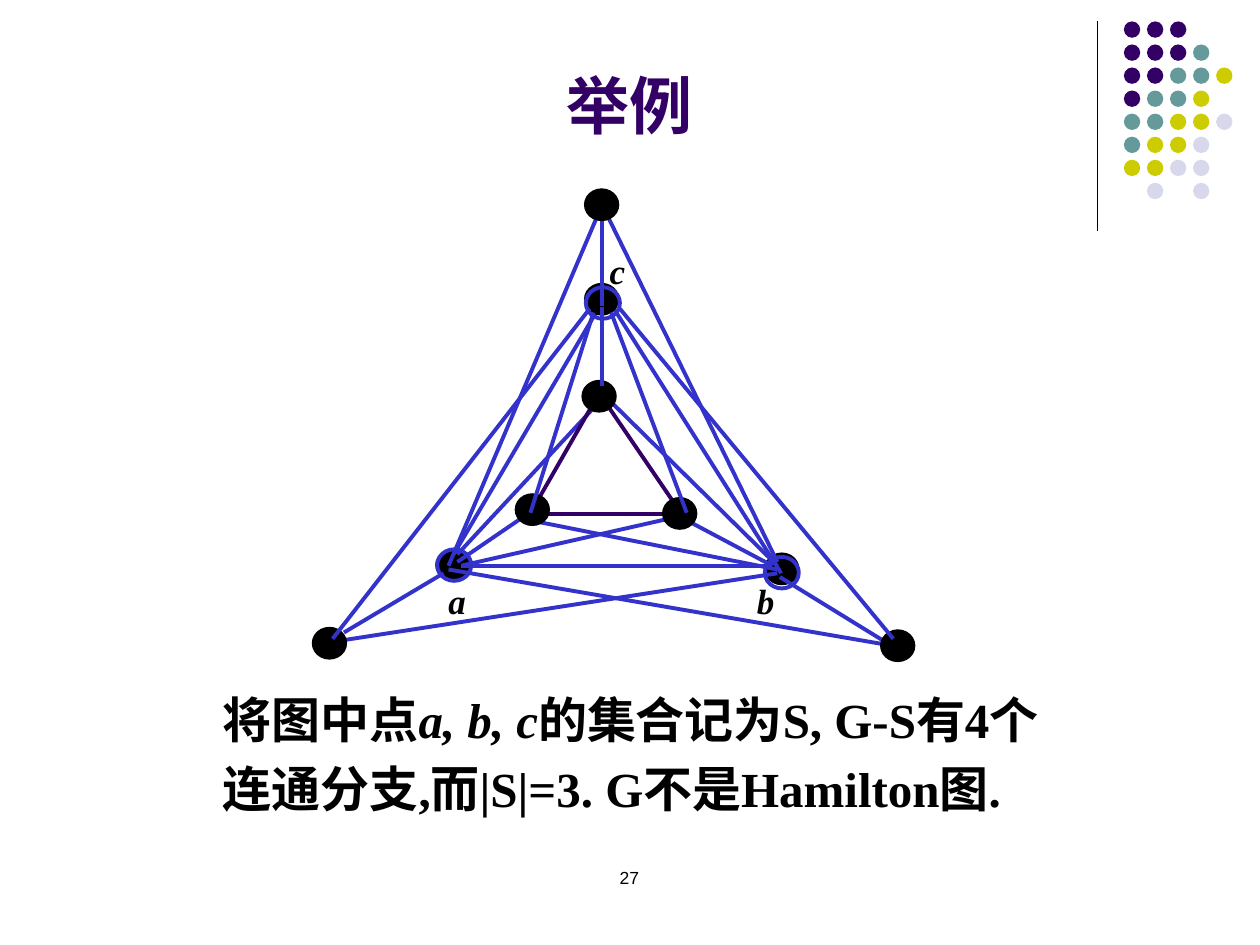
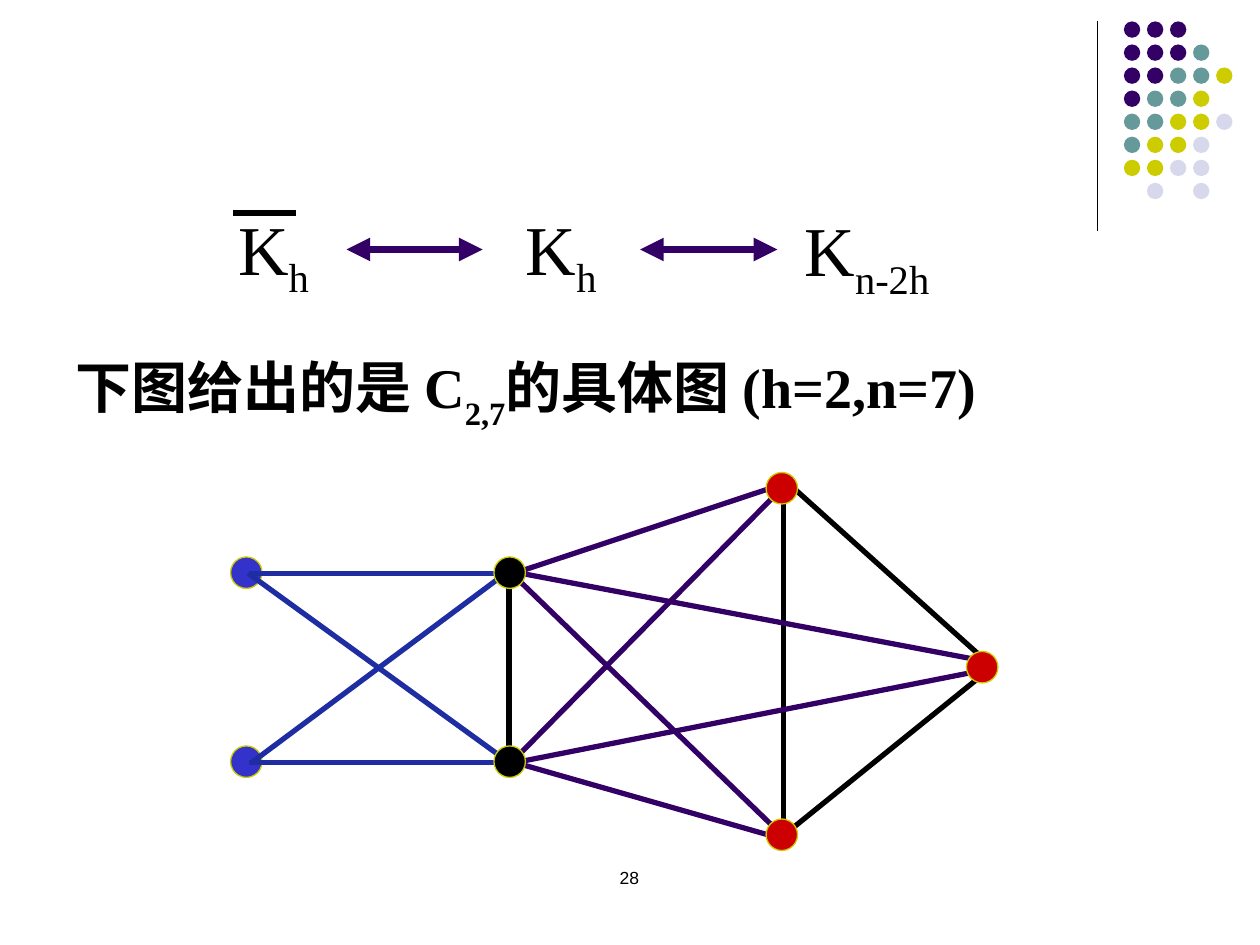
from dataclasses import dataclass
from typing import NamedTuple

from lxml.etree import SubElement
from pptx import Presentation
from pptx.dml.color import RGBColor
from pptx.enum.shapes import MSO_CONNECTOR, MSO_SHAPE
from pptx.enum.text import MSO_ANCHOR, PP_ALIGN
from pptx.oxml.ns import qn
from pptx.slide import Slide
from pptx.util import Inches, Pt

COLORS = {
    "black": "000000",
    "purple": "330066",
    "teal": "669999",
    "olive": "CCCC00",
    "lavender": "D8D8EC",
    "blue": "3333CC",
    "navy": "1E2EA2",
    "red": "CC0000",
}
SERIF = "Times New Roman"
SANS = "Arial"

# Corner dots, one letter per dot
DOT_ROWS = ["PPP", "PPPT", "PPTTY", "PTTY", "TTYYL", "TYYL", "YYLL", " L L"]
DOT_COLORS = {"P": "purple", "T": "teal", "Y": "olive", "L": "lavender"}
DOT_STEP = 0.183


class Point(NamedTuple):
    x: float
    y: float


class Area(NamedTuple):
    left: float
    top: float
    width: float
    height: float


class Edge(NamedTuple):
    start: Point
    end: Point


class Span(NamedTuple):
    text: str
    size: float
    italic: bool = False
    baseline: int = 0


@dataclass
class TextStyle:
    font: str = SERIF
    color: str = "black"
    bold: bool = False
    align: PP_ALIGN = PP_ALIGN.LEFT
    anchor: MSO_ANCHOR = MSO_ANCHOR.TOP
    wrap: bool = True


@dataclass
class Hub:
    """A cut vertex: black node, blue edges, ring and label."""
    name: str
    node: Point
    ring: Point
    label: Area
    edges: list[Edge]


TITLE = TextStyle(SANS, "purple", True, PP_ALIGN.CENTER, MSO_ANCHOR.BOTTOM)
STATEMENT = TextStyle(bold=True)
VERTEX_LABEL = TextStyle(bold=True, wrap=False)
FORMULA = TextStyle(align=PP_ALIGN.CENTER)
PAGE_NUMBER = TextStyle(SANS, align=PP_ALIGN.CENTER)


def rgb(name: str) -> RGBColor:
    return RGBColor.from_string(COLORS[name])


def edges(*rows: tuple[float, float, float, float]) -> list[Edge]:
    return [Edge(Point(x1, y1), Point(x2, y2)) for x1, y1, x2, y2 in rows]


def add_text(page: Slide, area: Area, spans: list[Span], style: TextStyle) -> None:
    box = page.shapes.add_textbox(*map(Inches, area))
    frame = box.text_frame
    frame.word_wrap = style.wrap
    frame.vertical_anchor = style.anchor
    para = frame.paragraphs[0]
    para.alignment = style.align
    for span in spans:
        run = para.add_run()
        run.text = span.text
        run.font.name = style.font
        run.font.size = Pt(span.size)
        run.font.bold = style.bold
        run.font.italic = span.italic
        run.font.color.rgb = rgb(style.color)
        if span.baseline:
            run._r.get_or_add_rPr().set("baseline", str(span.baseline * 1000))


def add_oval(page: Slide, area: Area, fill: str = "", line: str = "",
             width: float = 0.75) -> None:
    oval = page.shapes.add_shape(MSO_SHAPE.OVAL, *map(Inches, area))
    oval.shadow.inherit = False
    if fill:
        oval.fill.solid()
        oval.fill.fore_color.rgb = rgb(fill)
    else:
        oval.fill.background()
    if line:
        oval.line.color.rgb = rgb(line)
        oval.line.width = Pt(width)
    else:
        oval.line.fill.background()


def add_edge(page: Slide, edge: Edge, color: str, width: float,
             arrows: bool = False) -> None:
    line = page.shapes.add_connector(
        MSO_CONNECTOR.STRAIGHT, *map(Inches, (*edge.start, *edge.end)))
    line.line.color.rgb = rgb(color)
    line.line.width = Pt(width)
    properties = line._element.spPr
    if arrows:
        outline = properties.find(qn("a:ln"))
        for end in ("a:headEnd", "a:tailEnd"):
            SubElement(outline, qn(end), type="triangle")
    SubElement(properties, qn("a:effectLst"))


def add_page(deck: Presentation) -> Slide:
    """Blank page with the corner rule and dots."""
    page = deck.slides.add_slide(deck.slide_layouts[6])
    add_edge(page, Edge(Point(8.71, 0.17), Point(8.71, 1.83)), "black", 0.75)
    for row, letters in enumerate(DOT_ROWS):
        for column, letter in enumerate(letters):
            if letter in DOT_COLORS:
                dot = Area(8.92 + column * DOT_STEP, 0.17 + row * DOT_STEP, 0.13, 0.13)
                add_oval(page, dot, DOT_COLORS[letter])
    return page


def add_page_number(page: Slide, number: int) -> None:
    add_text(page, Area(3.83, 6.83, 2.33, 0.5), [Span(str(number), 10)], PAGE_NUMBER)


# Graph with cut set a, b, c
HUB_A = Hub("a", Point(3.46, 4.36), Point(3.47, 4.36), Area(3.46, 4.55, 0.37, 0.4), edges(
    (3.66, 4.49, 6.3, 4.49), (4.76, 1.67, 3.56, 4.49), (4.76, 2.43, 3.6, 4.4),
    (3.56, 4.52, 7.17, 5.14), (4.23, 4.05, 3.63, 4.46), (3.52, 4.55, 2.73, 5.02),
    (3.66, 4.49, 5.47, 4.08), (3.63, 4.4, 4.83, 3.11)))
HUB_B = Hub("b", Point(6.07, 4.39), Point(6.07, 4.42), Area(5.91, 4.55, 0.37, 0.4), edges(
    (4.8, 1.67, 6.17, 4.46), (4.86, 2.43, 6.2, 4.55), (6.19, 4.58, 7.1, 5.14),
    (5.47, 4.14, 6.13, 4.49), (4.26, 4.14, 6.17, 4.52), (2.73, 5.08, 6.17, 4.55),
    (4.86, 3.2, 6.17, 4.49)))
HUB_C = Hub("c", Point(4.64, 2.25), Point(4.65, 2.28), Area(4.74, 1.93, 0.38, 0.31), edges(
    (4.78, 1.75, 4.78, 2.43), (4.78, 2.44, 4.78, 3.06), (4.71, 2.48, 4.21, 4.07),
    (4.85, 2.48, 5.45, 4.07), (4.92, 2.45, 7.09, 5.07), (4.68, 2.45, 2.64, 5.07)))
INNER_TRIANGLE = edges((4.29, 4.08, 5.29, 4.08), (4.71, 3.2, 4.24, 4.02),
                       (4.81, 3.2, 5.41, 4.08))
OTHER_NODES = [Point(2.48, 4.98), Point(4.09, 3.92), Point(4.64, 1.5),
               Point(4.62, 3.02), Point(5.26, 3.95), Point(6.99, 5)]
NODE_SIZE = (0.27, 0.25)


def add_hub(page: Slide, hub: Hub) -> None:
    add_oval(page, Area(*hub.node, *NODE_SIZE), "black", "black")
    for edge in hub.edges:
        add_edge(page, edge, "blue", 2.25)
    add_oval(page, Area(*hub.ring, *NODE_SIZE), line="blue", width=2.25)
    add_text(page, hub.label, [Span(hub.name, 20, italic=True)], VERTEX_LABEL)


def build_example(deck: Presentation) -> None:
    page = add_page(deck)
    add_text(page, Area(0, 0.53, 10, 0.65), [Span("举例", 36)], TITLE)
    add_text(page, Area(1.67, 5.42, 6.92, 1.33), [
        Span("将图中点", 28),
        Span("a, b, c", 28, italic=True),
        Span("的集合记为S, G-S有4个连通分支,而|S|=3. G不是Hamilton图.", 28),
        Span(" ", 34),
    ], STATEMENT)
    add_hub(page, HUB_A)
    add_hub(page, HUB_B)
    for edge in INNER_TRIANGLE:
        add_edge(page, edge, "purple", 2.25)
    for node in OTHER_NODES:
        add_oval(page, Area(*node, *NODE_SIZE), "black", "black")
    add_hub(page, HUB_C)
    add_page_number(page, 27)


# Graph C(2,7): two blue, two black and three red vertices
VERTICES = {
    "blue": [Point(1.83, 4.42), Point(1.83, 5.92)],
    "black": [Point(3.92, 4.42), Point(3.92, 5.92)],
    "red": [Point(6.08, 3.75), Point(6.08, 6.5), Point(7.67, 5.17)],
}
JOINS = {
    "black": edges((6.22, 3.9, 6.22, 6.67), (6.25, 3.83, 7.83, 5.25),
                   (6.17, 6.67, 7.83, 5.33), (4.04, 4.52, 4.04, 6.1)),
    "navy": edges((1.98, 4.55, 3.98, 4.55), (2, 6.05, 4.08, 4.5),
                  (1.98, 6.05, 3.98, 6.05), (1.97, 4.55, 4.08, 6.08)),
    "purple": edges((4.08, 4.55, 6.25, 3.83), (4.05, 4.54, 6.25, 6.67),
                    (4.08, 4.54, 7.83, 5.25), (4.08, 6.05, 6.25, 6.67),
                    (4.06, 6.05, 6.25, 3.83), (4.1, 6.05, 7.75, 5.33)),
}
FORMULAS = [
    ("h", Area(1.67, 1.58, 1.0, 0.77)),
    ("h", Area(3.83, 1.58, 1.25, 0.77)),
    ("n-2h", Area(6.17, 1.59, 1.42, 0.77)),
]


def add_vertices(page: Slide, color: str) -> None:
    for vertex in VERTICES[color]:
        add_oval(page, Area(*vertex, 0.25, 0.25), color, "olive")


def build_join_graph(deck: Presentation) -> None:
    page = add_page(deck)
    add_text(page, Area(0.5, 2.75, 9.5, 0.64), [
        Span("下图给出的是 C", 32),
        Span("2,7", 32, baseline=-30),
        Span("的具体图 (h=2,n=7)", 32),
    ], STATEMENT)

    # Blue vertices lie under the edges, the others above them
    add_vertices(page, "blue")
    for color, joins in JOINS.items():
        for edge in joins:
            add_edge(page, edge, color, 3)
    add_vertices(page, "black")
    add_vertices(page, "red")

    # Formula row with its arrows and the bar of the complement
    for subscript, area in FORMULAS:
        add_text(page, area, [Span("K", 40), Span(subscript, 40, baseline=-25)], FORMULA)
    for arrow in edges((2.75, 1.98, 3.83, 1.98), (5.08, 1.98, 6.17, 1.98)):
        add_edge(page, arrow, "purple", 4.5, arrows=True)
    add_edge(page, Edge(Point(1.85, 1.69), Point(2.35, 1.69)), "black", 3)
    add_page_number(page, 28)


def main() -> None:
    deck = Presentation()
    deck.slide_width = Inches(10)
    deck.slide_height = Inches(7.5)
    build_example(deck)
    build_join_graph(deck)
    deck.save("out.pptx")


if __name__ == "__main__":
    main()
